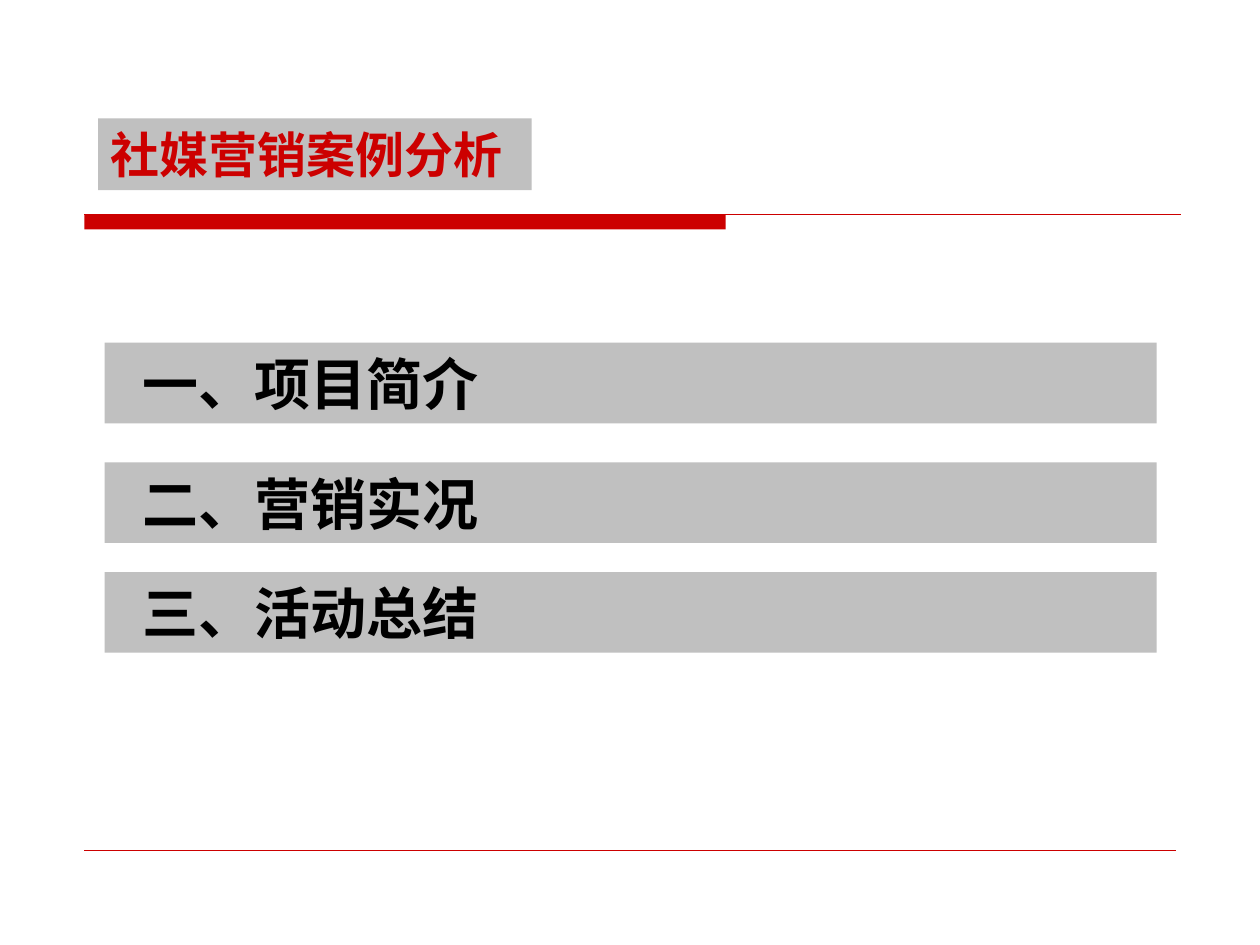
"""Build the agenda slide of a marketing case study."""
import pptx
import pptx.dml.color
import pptx.enum.shapes
import pptx.enum.text
import pptx.util
from lxml import etree
from pptx.oxml.ns import qn

Inches = pptx.util.Inches
RED = "CC0000"
GREY = "C0C0C0"
CJK = "Noto Sans CJK SC"


def paint(color, value):
    color.rgb = pptx.dml.color.RGBColor.from_string(value)


def label(text, left, top, width, height, inset=0.1, size=32, face="DejaVu Sans", color="000000"):
    box = slide.shapes.add_shape(
        pptx.enum.shapes.MSO_SHAPE.RECTANGLE,
        Inches(left), Inches(top), Inches(width), Inches(height))
    box.shadow.inherit = False
    box.fill.solid()
    paint(box.fill.fore_color, GREY)
    box.line.fill.background()
    frame = box.text_frame
    frame.word_wrap = True
    frame.vertical_anchor = pptx.enum.text.MSO_ANCHOR.MIDDLE
    frame.margin_left = Inches(inset)
    par = frame.paragraphs[0]
    par.alignment = pptx.enum.text.PP_ALIGN.LEFT
    run = par.add_run()
    run.text = text
    run.font.size = pptx.util.Pt(size)
    run.font.bold = True
    run.font.name = face
    paint(run.font.color, color)
    east = etree.SubElement(run.font._element, qn("a:ea"))
    east.set("typeface", CJK)


deck = pptx.Presentation()
deck.slide_width = Inches(10)
deck.slide_height = Inches(7.5)
slide = deck.slides.add_slide(deck.slide_layouts[6])

bar = slide.shapes.add_shape(
    pptx.enum.shapes.MSO_SHAPE.RECTANGLE,
    Inches(0.67), Inches(1.7), Inches(5.09), Inches(0.12))
bar.shadow.inherit = False
bar.fill.solid()
paint(bar.fill.fore_color, RED)
bar.line.fill.background()

for top, right, weight in [(1.7, 9.37, 0.75), (6.75, 9.33, 0.25)]:
    rule = slide.shapes.add_connector(
        pptx.enum.shapes.MSO_CONNECTOR.STRAIGHT,
        Inches(0.67), Inches(top), Inches(right), Inches(top))
    rule.line.width = pptx.util.Pt(weight)
    paint(rule.line.color, RED)
    etree.SubElement(rule._element.spPr, qn("a:effectLst"))

for text, top in [("一、项目简介", 2.72), ("二、营销实况", 3.67), ("三、活动总结", 4.54)]:
    label(text, 0.83, top, 8.35, 0.64, inset=0.3)

label("社媒营销案例分析", 0.78, 0.94, 3.44, 0.57, size=28, face=CJK, color=RED)

deck.save("out.pptx")
